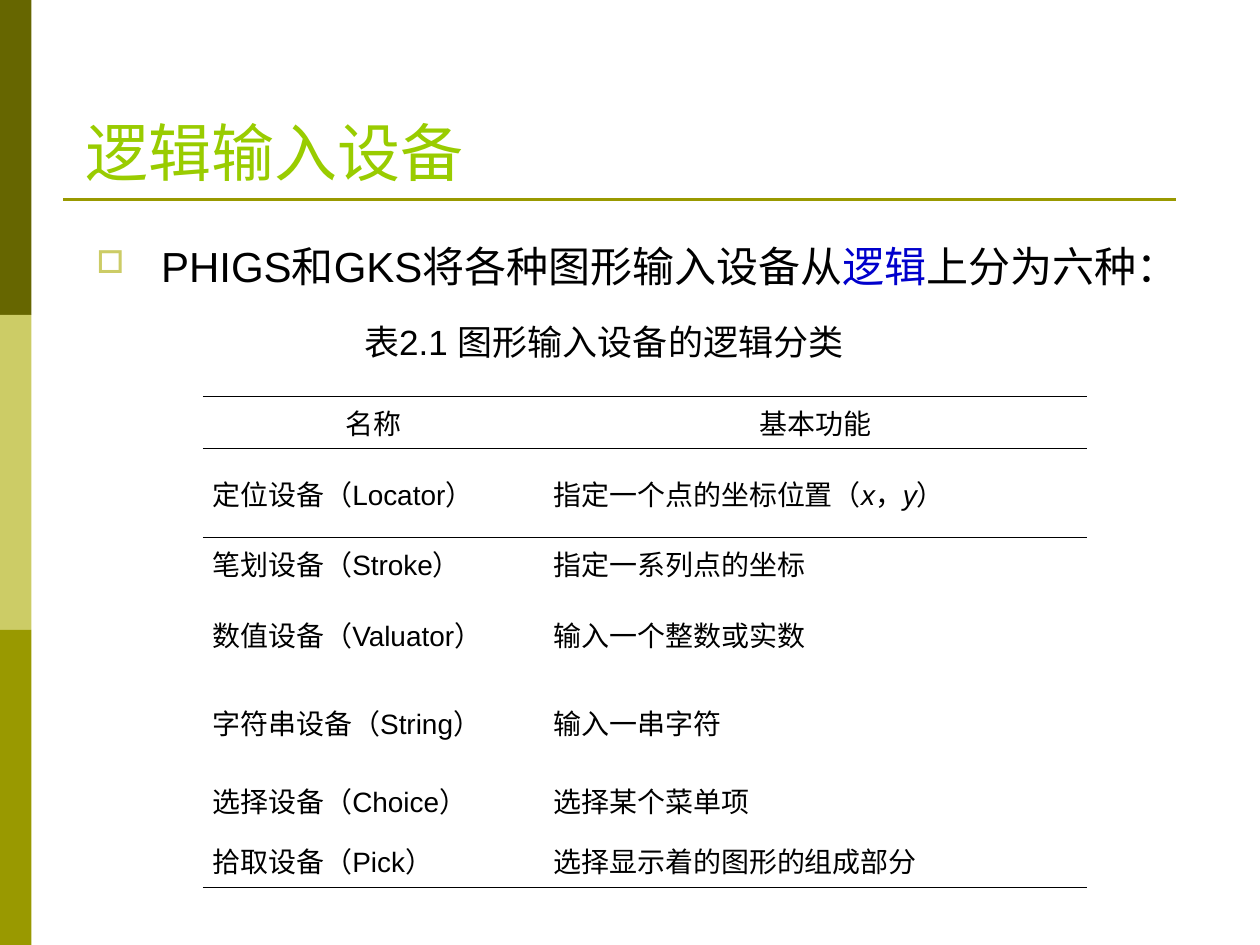
from lxml import etree
from pptx import Presentation
from pptx import util as u
from pptx.dml.color import RGBColor
from pptx.enum import shapes, text
from pptx.oxml.ns import qn

Pt = u.Pt
COLORS = {"olive": "666600", "sand": "CCCC66", "moss": "999900",
          "lime": "99CC00", "blue": "0000CC", "black": "000000"}
ALIGN = text.PP_ALIGN
ANCHOR = text.MSO_ANCHOR


def rgb(name):
    return RGBColor.from_string(COLORS[name])


def write(frame, pieces, size=16, color="black", align=ALIGN.JUSTIFY):
    """Fill the first paragraph; a piece is a string or (string, font overrides)."""
    paragraph = frame.paragraphs[0]
    paragraph.alignment = align
    for piece in [pieces] if isinstance(pieces, str) else pieces:
        words, look = (piece, {}) if isinstance(piece, str) else piece
        run = paragraph.add_run()
        run.text = words
        run.font.name = "Arial"
        run.font.size = Pt(size)
        run.font.italic = look.get("italic", False)
        run.font.color.rgb = rgb(look.get("color", color))
    return paragraph


deck = Presentation()
deck.slide_width, deck.slide_height = Pt(720), Pt(540)
slide = deck.slides.add_slide(deck.slide_layouts[6])

# Side bands
for i, shade in enumerate(["olive", "sand", "moss"]):
    band = slide.shapes.add_shape(shapes.MSO_SHAPE.RECTANGLE,
                                  Pt(0), Pt(180 * i), Pt(18), Pt(180))
    band.shadow.inherit = False
    band.fill.solid()
    band.fill.fore_color.rgb = rgb(shade)
    band.line.fill.background()

# Rule under the title
rule = slide.shapes.add_connector(shapes.MSO_CONNECTOR.STRAIGHT,
                                  Pt(36), Pt(114), Pt(672), Pt(114))
rule.line.color.rgb = rgb("moss")
rule.line.width = Pt(1.5)
etree.SubElement(rule._element.spPr, qn("a:effectLst"))

# Title
title = slide.shapes.add_textbox(Pt(42), Pt(39), Pt(256), Pt(72.5)).text_frame
title.word_wrap = True
title.vertical_anchor = ANCHOR.BOTTOM
write(title, "逻辑输入设备", size=36, color="lime", align=ALIGN.LEFT)

# Bulleted statement
statement = slide.shapes.add_textbox(Pt(48), Pt(122.5), Pt(641), Pt(68)).text_frame
statement.word_wrap = True
props = statement.paragraphs[0]._p.get_or_add_pPr()
props.set("marL", str(Pt(37)))
props.set("indent", str(Pt(-37)))
bullet_color = etree.SubElement(props, qn("a:buClr"))
etree.SubElement(bullet_color, qn("a:srgbClr"), val=COLORS["sand"])
etree.SubElement(props, qn("a:buSzPct"), val="75000")
etree.SubElement(props, qn("a:buChar"), char="□")
write(statement, ["PHIGS和GKS将各种图形输入设备从", ("逻辑", {"color": "blue"}),
                  "上分为六种："], size=24).line_spacing = 1.4

# Table of logical devices
rows = [
    ("名称", "基本功能"),
    ("定位设备（Locator）", ["指定一个点的坐标位置（", ("x", {"italic": True}), "，",
                        ("y", {"italic": True}), "）"]),
    ("笔划设备（Stroke）", "指定一系列点的坐标"),
    ("数值设备（Valuator）", "输入一个整数或实数"),
    ("字符串设备（String）", "输入一串字符"),
    ("选择设备（Choice）", "选择某个菜单项"),
    ("拾取设备（Pick）", "选择显示着的图形的组成部分"),
]
widths = [195, 310]
heights = [30.2, 50.4, 30.2, 50.4, 50.4, 38.9, 30.2]
edges = {0: ["a:lnT", "a:lnB"], 1: ["a:lnT"], len(rows) - 1: ["a:lnB"]}

frame = slide.shapes.add_table(len(rows), 2, Pt(116), Pt(226.3),
                               Pt(sum(widths)), Pt(sum(heights)))
devices = frame.table
devices.first_row = devices.horz_banding = False
# Built-in style without fills or grid
devices._tbl.tblPr.find(qn("a:tableStyleId")).text = "{2D5ABB26-0587-4C30-8999-92F81FD0307C}"
for column, width in zip(devices.columns, widths):
    column.width = Pt(width)
for r, (row, height) in enumerate(zip(rows, heights)):
    devices.rows[r].height = Pt(height)
    for c, content in enumerate(row):
        cell = devices.cell(r, c)
        cell.vertical_anchor = ANCHOR.MIDDLE
        cell.margin_left = cell.margin_right = Pt(5.5)
        cell.margin_top = cell.margin_bottom = Pt(3.6)
        write(cell.text_frame, content,
              align=ALIGN.CENTER if r == 0 else ALIGN.JUSTIFY)
        cell_props = cell._tc.get_or_add_tcPr()
        for edge in edges.get(r, []):
            border = etree.SubElement(cell_props, qn(edge), w=str(Pt(0.45)))
            ink = etree.SubElement(border, qn("a:solidFill"))
            etree.SubElement(ink, qn("a:srgbClr"), val=COLORS["black"])
        cell.fill.background()

# Table caption
caption = slide.shapes.add_textbox(Pt(201), Pt(179.5), Pt(315), Pt(31.5)).text_frame
caption.word_wrap = True
write(caption, "表2.1 图形输入设备的逻辑分类", size=20)

deck.save("out.pptx")
